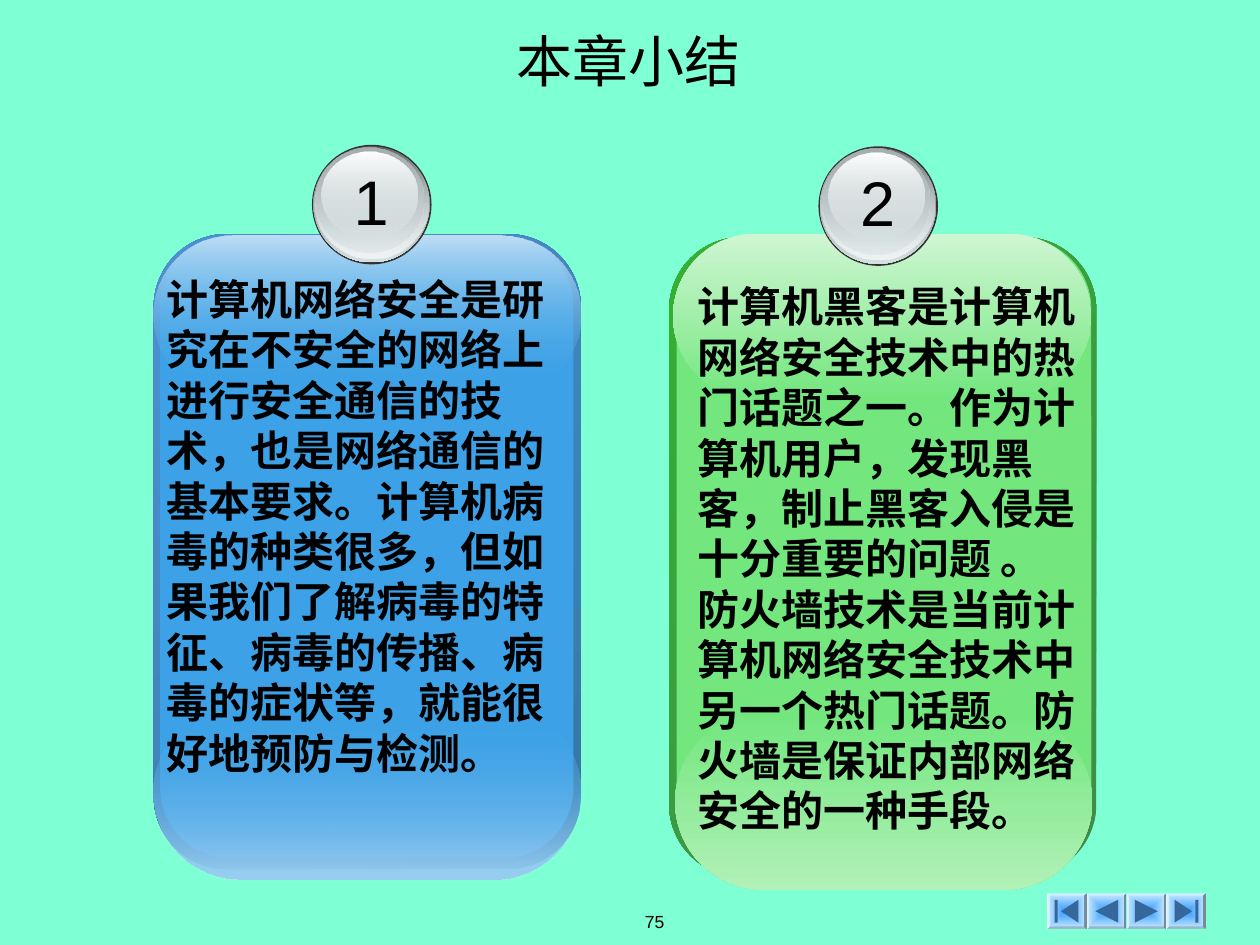
from dataclasses import dataclass
from typing import NamedTuple, Optional

from lxml import etree
from pptx import Presentation
from pptx.dml.color import RGBColor
from pptx.enum.shapes import MSO_SHAPE as Preset
from pptx.enum.text import MSO_ANCHOR as Anchor, PP_ALIGN as Align
from pptx.oxml.ns import qn
from pptx.util import Cm, Pt

COLORS = {
    "aqua": "7FFFD4", "black": "000000", "rim": "333333",
    "steel": "626768", "silver": "D6E1E2", "frost": "EFF3F3",
    "ash": "A8B1B2", "shine": "FEFEFE",
    "blue_dark": "3477A4", "blue_edge": "4E91D4", "blue": "3CA1E6",
    "blue_foot": "9ACDF1", "blue_head": "BDDEF5",
    "green_dark": "3F8B4A", "green_edge": "34B034", "green": "73E77E",
    "green_foot": "B1F0B7", "green_head": "CFF6D3",
    "nav": "3399FF", "nav_light": "CCECFF", "nav_icon": "35679B",
}
CJK_FONT = "Noto Sans CJK SC"


class Box(NamedTuple):
    left: float
    top: float
    width: float
    height: float

    def lengths(self) -> list:
        return [Cm(value) for value in self]


class Stop(NamedTuple):
    color: str
    alpha: int = 100


@dataclass
class Layer:
    box: Box
    stops: list
    angle: Optional[int] = 90
    radius: float = 0.5


@dataclass
class Panel:
    layers: list
    text_box: Box
    text: str


@dataclass
class NavButton:
    tip: float
    base: float
    bar: Optional[float] = None


def rgb(color: str) -> RGBColor:
    return RGBColor.from_string(COLORS[color])


def apply(target, values: dict) -> None:
    for name, value in values.items():
        setattr(target, name, value)


def paint(shape, stops: list, angle: Optional[int] = 90) -> None:
    shape.shadow.inherit = False
    shape.line.fill.background()
    if len(stops) == 1:
        shape.fill.solid()
        shape.fill.fore_color.rgb = rgb(stops[0].color)
        return
    shape.fill.gradient()
    gradient = shape.fill._xPr.find(qn("a:gradFill"))
    for child in list(gradient):
        gradient.remove(child)
    stop_list = etree.SubElement(gradient, qn("a:gsLst"))
    for position, stop in zip((0, 100000), stops):
        node = etree.SubElement(stop_list, qn("a:gs"), pos=str(position))
        color = etree.SubElement(node, qn("a:srgbClr"), val=COLORS[stop.color])
        if stop.alpha < 100:
            etree.SubElement(color, qn("a:alpha"), val=str(stop.alpha * 1000))
    if angle is None:
        center = etree.SubElement(gradient, qn("a:path"), path="rect")
        etree.SubElement(center, qn("a:fillToRect"),
                         {side: "50000" for side in "ltrb"})
    else:
        etree.SubElement(gradient, qn("a:lin"), ang=str(angle * 60000), scaled="0")


def add_text(shapes, box: Box, text: str, size: int, align=Align.CENTER,
             anchor=Anchor.TOP, wrap: bool = True, bold: bool = False,
             font: str = "Arial", spacing=None) -> None:
    frame = shapes.add_textbox(*box.lengths()).text_frame
    apply(frame, {"word_wrap": wrap, "vertical_anchor": anchor})
    paragraph = frame.paragraphs[0]
    apply(paragraph, {"alignment": align, "line_spacing": spacing})
    paragraph._p.get_or_add_pPr().set("hangingPunct", "0")
    run = paragraph.add_run()
    run.text = text
    apply(run.font, {"name": font, "size": Pt(size), "bold": bold})
    run.font.color.rgb = rgb("black")
    etree.SubElement(run.font._element, qn("a:ea"), typeface=CJK_FONT)


def draw_panel(shapes, panel: Panel) -> None:
    for layer in panel.layers:
        plate = shapes.add_shape(Preset.ROUNDED_RECTANGLE, *layer.box.lengths())
        plate.adjustments[0] = layer.radius
        paint(plate, layer.stops, layer.angle)
    add_text(shapes, panel.text_box, panel.text, 24, align=Align.LEFT,
             bold=True, spacing=Pt(28.8))


def draw_badge(shapes, left: float, top: float, number: str) -> None:
    for disc, stops in BADGE_DISCS:
        box = disc._replace(left=left + disc.left, top=top + disc.top)
        paint(shapes.add_shape(Preset.OVAL, *box.lengths()), stops)
    add_text(shapes, Box(left, top + 0.23, 2.39, 1.78), number, 36)


def draw_nav_button(shapes, left: float, button: NavButton) -> None:
    top, middle, bottom = NAV_TOP + 0.13, NAV_TOP + 0.36, NAV_TOP + 0.59
    face = shapes.add_shape(Preset.BEVEL, *Box(left, NAV_TOP, NAV_WIDTH, 0.72).lengths())
    face.adjustments[0] = 0.06
    paint(face, [Stop("nav"), Stop("nav_light")], None)
    tip, base = Cm(left + button.tip), Cm(left + button.base)
    outline = shapes.build_freeform(tip, Cm(middle))
    outline.add_line_segments([(base, Cm(top)), (base, Cm(bottom))], close=True)
    icons = [outline.convert_to_shape()]
    if button.bar is not None:
        bar = Box(left + button.bar, top, 0.06, bottom - top)
        icons.append(shapes.add_shape(Preset.RECTANGLE, *bar.lengths()))
    for icon in icons:
        paint(icon, [Stop("nav_icon")])


BADGE_DISCS = [
    (Box(0, 0, 2.41, 2.41), [Stop("rim")]),
    (Box(0.03, 0.03, 2.34, 2.34), [Stop("steel"), Stop("silver")]),
    (Box(0.05, 0.03, 2.29, 2.26), [Stop("silver", 0), Stop("frost")]),
    (Box(0.08, 0.05, 2.16, 2.13), [Stop("ash"), Stop("silver", 48)]),
    (Box(0.2, 0.13, 1.93, 1.73), [Stop("shine"), Stop("silver", 38)]),
]
NAV_LEFT, NAV_TOP, NAV_WIDTH = 21.11, 18.01, 0.8
NAV_BUTTONS = [
    NavButton(0.28, 0.63, 0.15), NavButton(0.17, 0.63),
    NavButton(0.63, 0.17), NavButton(0.52, 0.17, 0.59),
]
PANELS = [
    Panel(
        [
            Layer(Box(3.1, 4.72, 8.61, 12.8),
                  [Stop("blue_dark"), Stop("blue_edge")], 225, 0.17),
            Layer(Box(3.23, 4.75, 8.33, 12.55), [Stop("blue")], radius=0.17),
            Layer(Box(3.1, 14.2, 8.61, 3.53), [Stop("blue", 0), Stop("blue_foot")]),
            Layer(Box(3.1, 4.75, 8.61, 3.18), [Stop("blue_head"), Stop("blue", 0)]),
        ],
        Box(3.1, 5.39, 8.61, 10.41),
        "计算机网络安全是研究在不安全的网络上进行安全通信的技术，也是网络通信的基本要求。"
        "计算机病毒的种类很多，但如果我们了解病毒的特征、病毒的传播、病毒的症状等，"
        "就能很好地预防与检测。",
    ),
    Panel(
        [
            Layer(Box(13.49, 4.78, 8.61, 12.9),
                  [Stop("green_dark"), Stop("green_edge")], 225, 0.17),
            Layer(Box(13.64, 4.8, 8.36, 12.65), [Stop("green")], radius=0.17),
            Layer(Box(13.61, 14.38, 8.41, 3.56), [Stop("green"), Stop("green_foot")]),
            Layer(Box(13.57, 4.71, 8.43, 3.33), [Stop("green_head"), Stop("green")]),
        ],
        Box(13.81, 5.54, 8.18, 11.43),
        "计算机黑客是计算机网络安全技术中的热门话题之一。作为计算机用户，发现黑客，"
        "制止黑客入侵是十分重要的问题 。防火墙技术是当前计算机网络安全技术中另一个热门话题。"
        "防火墙是保证内部网络安全的一种手段。",
    ),
]


def main() -> None:
    deck = Presentation()
    apply(deck, {"slide_width": Cm(25.4), "slide_height": Cm(19.05)})
    slide = deck.slides.add_slide(deck.slide_layouts[6])
    slide.background.fill.solid()
    slide.background.fill.fore_color.rgb = rgb("aqua")
    shapes = slide.shapes

    add_text(shapes, Box(10.49, 18.12, 5.41, 0.91), "75", 10,
             anchor=Anchor.MIDDLE, wrap=False)
    for index, button in enumerate(NAV_BUTTONS):
        draw_nav_button(shapes, NAV_LEFT + index * NAV_WIDTH, button)
    add_text(shapes, Box(0, 0.43, 25.35, 1.57), "本章小结", 32,
             anchor=Anchor.MIDDLE, font=CJK_FONT)
    for panel in PANELS:
        draw_panel(shapes, panel)
    draw_badge(shapes, 16.5, 2.95, "2")
    draw_badge(shapes, 6.29, 2.92, "1")
    deck.save("out.pptx")


if __name__ == "__main__":
    main()
